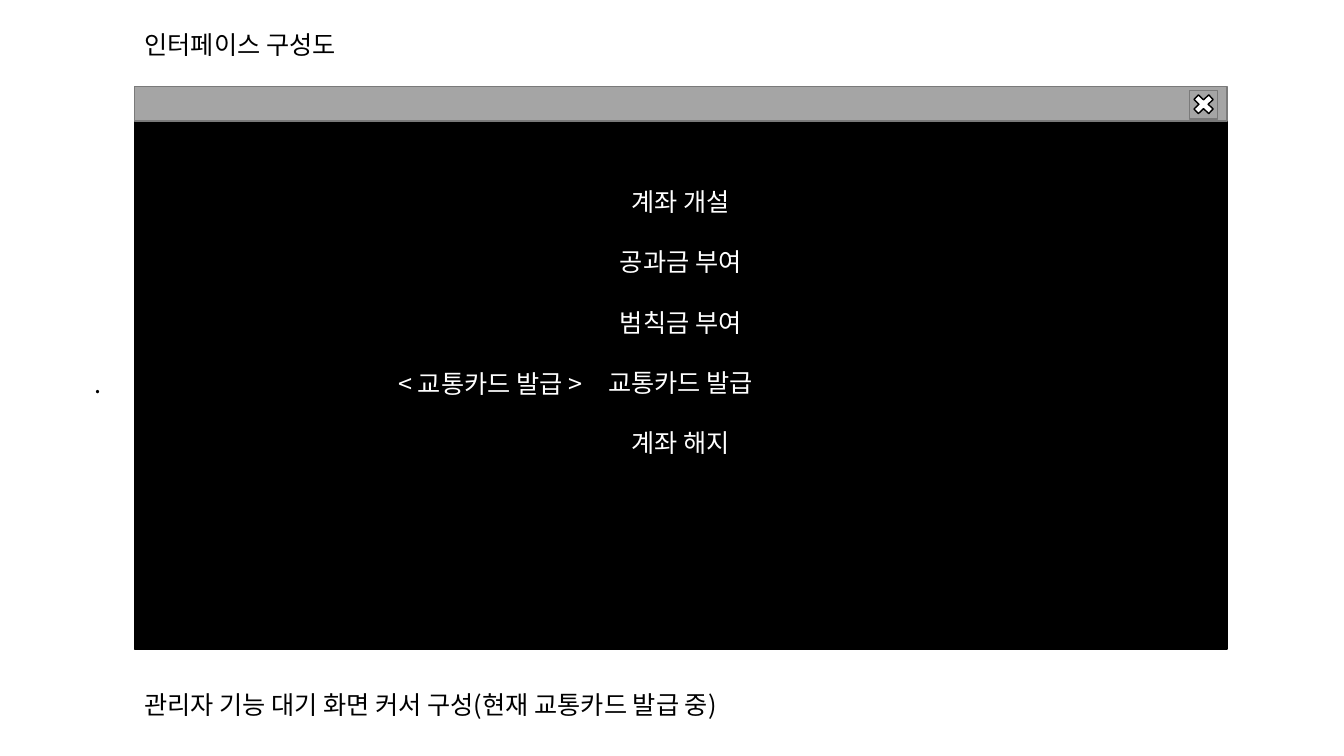
from lxml.etree import SubElement
from pptx import Presentation
from pptx.dml.color import RGBColor
from pptx.enum.shapes import MSO_SHAPE
from pptx.enum.text import MSO_ANCHOR, MSO_AUTO_SIZE, PP_ALIGN
from pptx.oxml.ns import qn
from pptx.util import Pt

FONT = "Noto Sans CJK KR"
SIZE = 18
LINE = 21.5
INSET = 3.6
LEFT, WIDTH = 96, 780.4
BAR_TOP, BAR_HEIGHT = 62, 24.4
SCREEN_TOP = BAR_TOP + BAR_HEIGHT

HEADING = "인터페이스 구성도"
CAPTION = "관리자 기능 대기 화면 커서 구성(현재 교통카드 발급 중)"
MENU = ["계좌 개설", "공과금 부여", "범칙금 부여", "교통카드 발급", "계좌 해지"]
CURSOR = [(".\t", "000000"), ("< 교통카드 발급 >", "FFFFFF")]
CURSOR_TAB = 217

WINDOW = [
    (MSO_SHAPE.RECTANGLE, (LEFT, SCREEN_TOP, WIDTH, 377.2), "000000", "000000"),
    (MSO_SHAPE.RECTANGLE, (LEFT, BAR_TOP, WIDTH, BAR_HEIGHT), "A5A5A5", "7A7A7A"),
    (MSO_SHAPE.FLOWCHART_PROCESS, (849.6, 64.8, 20.2, 20.2), "A5A5A5", "7A7A7A"),
    (MSO_SHAPE.MATH_MULTIPLY, (849.6, 64.8, 20.2, 19.4), "FFFFFF", "000000"),
]
LABEL_FRAME = {
    "word_wrap": False,
    "auto_size": MSO_AUTO_SIZE.SHAPE_TO_FIT_TEXT,
    "vertical_anchor": MSO_ANCHOR.TOP,
}
CURSOR_FRAME = LABEL_FRAME | {"word_wrap": True}
MENU_FRAME = {
    "word_wrap": True,
    "vertical_anchor": MSO_ANCHOR.TOP,
    "margin_top": Pt(INSET + 2 * LINE),
}
LABEL_PARAGRAPH = {"alignment": PP_ALIGN.LEFT}
MENU_PARAGRAPH = {"alignment": PP_ALIGN.CENTER, "space_after": Pt(LINE)}
TYPE = {"name": FONT, "size": Pt(SIZE)}


def apply(target, formats):
    for key, value in formats.items():
        setattr(target, key, value)


def paint(color_format, color):
    color_format.rgb = RGBColor.from_string(color)


def place(shape, box):
    apply(shape, dict(zip(("left", "top", "width", "height"), map(Pt, box))))


def write(frame, lines, frame_format, paragraph_format):
    apply(frame, frame_format)
    for index, pieces in enumerate(lines):
        paragraph = frame.add_paragraph() if index else frame.paragraphs[0]
        apply(paragraph, paragraph_format)
        for words, color in pieces:
            run = paragraph.add_run()
            run.text = words
            apply(run.font, TYPE)
            paint(run.font.color, color)
            SubElement(run.font._element, qn("a:ea"), typeface=FONT)


def draw_window(shapes):
    window = shapes.add_group_shape()
    for preset, box, fill, line in WINDOW:
        part = window.shapes.add_shape(preset, *map(Pt, box))
        part.shadow.inherit = False
        part.fill.solid()
        paint(part.fill.fore_color, fill)
        paint(part.line.color, line)
        part.line.width = Pt(1)
    return window.shapes[0]


def add_label(shapes, box, pieces, frame_format):
    label = shapes.add_textbox(*map(Pt, box))
    write(label.text_frame, [pieces], frame_format, LABEL_PARAGRAPH)
    return label


def main():
    deck = Presentation()
    apply(deck, {"slide_width": Pt(960), "slide_height": Pt(540)})
    slide = deck.slides.add_slide(deck.slide_layouts[5])
    shapes = slide.shapes

    heading = shapes.title
    place(heading, (LEFT, 17.3, 166.3, 28.8))
    write(heading.text_frame, [[(HEADING, "000000")]], LABEL_FRAME, LABEL_PARAGRAPH)

    screen = draw_window(shapes)
    items = [[(item, "FFFFFF")] for item in MENU]
    write(screen.text_frame, items, MENU_FRAME, MENU_PARAGRAPH)

    add_label(shapes, (LEFT, 488.9, 477.4, 28.8), [(CAPTION, "000000")], LABEL_FRAME)
    cursor = add_label(shapes, (60.5, 259.9, 521.3, 28.8), CURSOR, CURSOR_FRAME)
    properties = cursor.text_frame.paragraphs[0]._p.get_or_add_pPr()
    stops = SubElement(properties, qn("a:tabLst"))
    SubElement(stops, qn("a:tab"), pos=str(Pt(CURSOR_TAB)), algn="l")

    deck.save("out.pptx")


if __name__ == "__main__":
    main()
